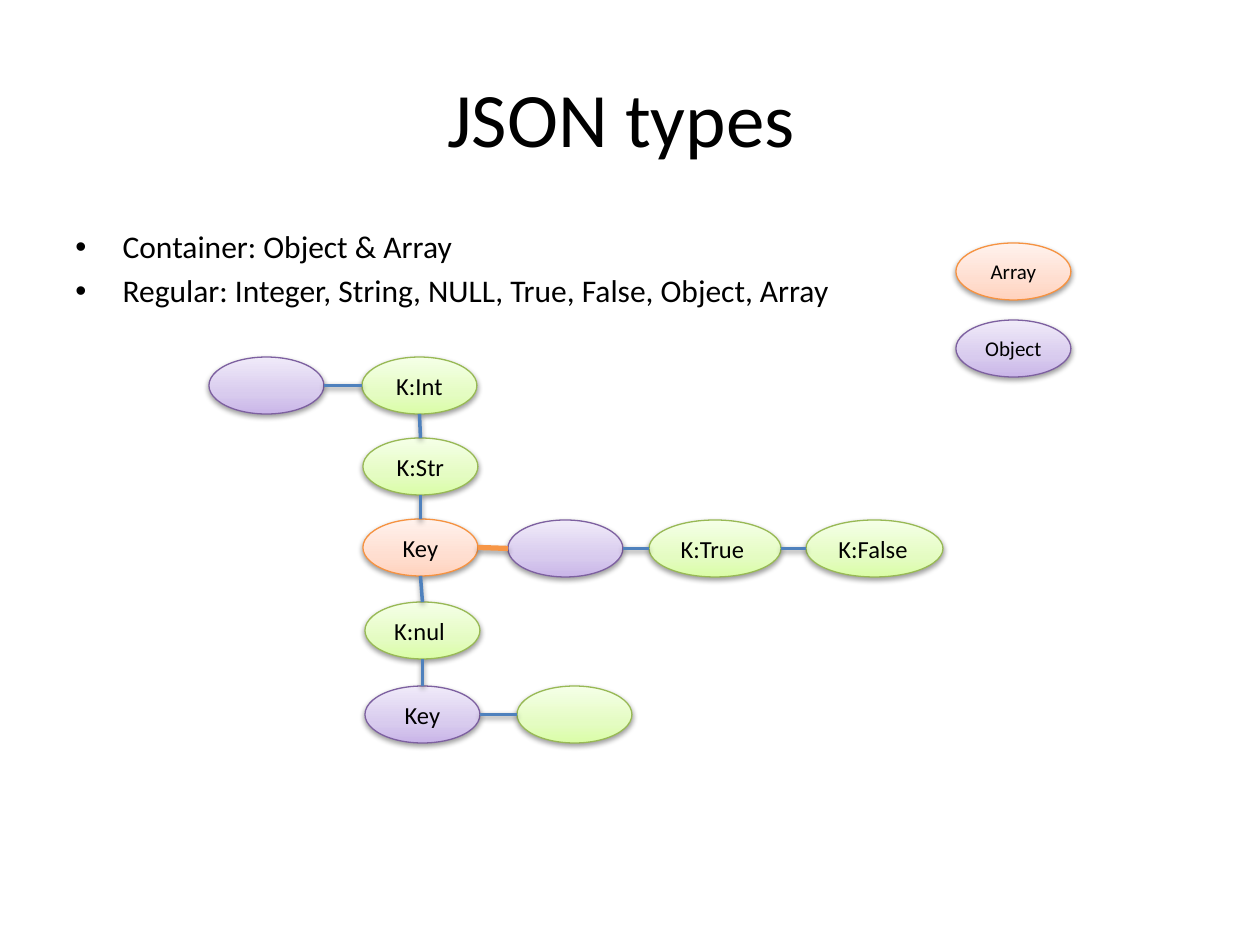
from copy import deepcopy

from pptx import Presentation
from pptx.dml.color import RGBColor
from pptx.enum.shapes import MSO_CONNECTOR, MSO_SHAPE
from pptx.enum.text import MSO_ANCHOR, PP_ALIGN
from pptx.oxml import parse_xml
from pptx.oxml.ns import nsdecls
from pptx.util import Emu, Pt

PX = 914400 // 126
FONT = "Calibri"
BLACK = RGBColor(0x00, 0x00, 0x00)
BLUE = RGBColor(0x4F, 0x81, 0xBD)
ORANGE = RGBColor(0xF7, 0x96, 0x46)

OBJECT = (RGBColor(0x7D, 0x60, 0xA0), RGBColor(0xC9, 0xB5, 0xE8),
          RGBColor(0xD8, 0xCB, 0xEE), RGBColor(0xF0, 0xEA, 0xF9))
REGULAR = (RGBColor(0x98, 0xB9, 0x55), RGBColor(0xDA, 0xFD, 0xA7),
           RGBColor(0xE4, 0xFC, 0xC2), RGBColor(0xF5, 0xFF, 0xE7))
ARRAY = (RGBColor(0xF6, 0x92, 0x40), RGBColor(0xFF, 0xD2, 0xBD),
         RGBColor(0xFF, 0xDE, 0xD0), RGBColor(0xFF, 0xF2, 0xED))
STOPS = (0, 0.35, 1)
NODE_WIDTH, NODE_HEIGHT = 115, 57

EFFECTS = (
    f'<a:effectLst {nsdecls("a")}>'
    '<a:outerShdw blurRad="40000" dist="20000" dir="5400000" rotWithShape="0">'
    '<a:srgbClr val="000000"><a:alpha val="38000"/></a:srgbClr>'
    '</a:outerShdw></a:effectLst>'
)


def px(*lengths):
    return [Emu(length * PX) for length in lengths]


def format_paragraph(paragraph, size, align):
    paragraph.alignment = align
    for run in paragraph.runs:
        run.font.name = FONT
        run.font.size = Pt(size)
        run.font.color.rgb = BLACK


def add_text(slide, box, lines, size, align, anchor):
    text_frame = slide.shapes.add_textbox(*px(*box)).text_frame
    text_frame.word_wrap = True
    text_frame.vertical_anchor = anchor
    text_frame.text = "\n".join(lines)
    for paragraph in text_frame.paragraphs:
        format_paragraph(paragraph, size, align)
    return text_frame


def add_title(slide, box):
    add_text(slide, box, ["JSON types "], 44, PP_ALIGN.CENTER, MSO_ANCHOR.MIDDLE)


def add_bullets(slide, box):
    lines = ["Container: Object & Array",
             "Regular: Integer, String, NULL, True, False, Object, Array"]
    text_frame = add_text(slide, box, lines, 18, PP_ALIGN.LEFT, MSO_ANCHOR.TOP)
    for paragraph in text_frame.paragraphs:
        paragraph.space_before = Pt(3.6)
        properties = paragraph._p.get_or_add_pPr()
        properties.set("marL", "342900")
        properties.set("indent", "-342900")
        properties.append(parse_xml(f'<a:buFont {nsdecls("a")} typeface="Arial"/>'))
        properties.append(parse_xml(f'<a:buChar {nsdecls("a")} char="•"/>'))


def add_node(slide, left, top, palette, label="", width=NODE_WIDTH,
             size=14, align=PP_ALIGN.CENTER):
    shape = slide.shapes.add_shape(
        MSO_SHAPE.OVAL, *px(left, top, width, NODE_HEIGHT))
    outline, *gradient = palette
    shape.fill.gradient()
    shape.fill.gradient_angle = 90
    first = shape.fill._fill._gradFill.gsLst[0]
    first.addnext(deepcopy(first))
    for stop, position, color in zip(shape.fill.gradient_stops, STOPS, gradient):
        stop.position = position
        stop.color.rgb = color
    shape.line.color.rgb = outline
    shape.line.width = Pt(0.75)
    shape._element.spPr.append(parse_xml(EFFECTS))
    if label:
        shape.text_frame.text = label
        format_paragraph(shape.text_frame.paragraphs[0], size, align)
    return shape


def add_link(slide, start, end, color=BLUE, width=2):
    connector = slide.shapes.add_connector(MSO_CONNECTOR.STRAIGHT, *start, *end)
    connector.line.color.rgb = color
    connector.line.width = Pt(width)
    connector._element.spPr.append(parse_xml(EFFECTS))


def link_across(slide, first, second, **style):
    add_link(slide,
             (first.left + first.width, first.top + first.height // 2),
             (second.left, second.top + second.height // 2), **style)


def link_down(slide, upper, lower):
    add_link(slide,
             (upper.left + upper.width // 2, upper.top + upper.height),
             (lower.left + lower.width // 2, lower.top))


def add_tree(slide, left, top):
    def node(x, y, *args, **options):
        return add_node(slide, left + x, top + y, *args, **options)

    root = node(0, 0, OBJECT)
    members = [
        node(153, 0, REGULAR, "K:Int"),
        node(154, 81, REGULAR, "K:Str"),
        node(154, 162, ARRAY, "Key"),
        node(156, 245, REGULAR, "K:nul", align=PP_ALIGN.LEFT),
        node(156, 329, OBJECT, "Key"),
    ]
    items = [
        node(299, 163, OBJECT),
        node(440, 163, REGULAR, "K:True", width=132, align=PP_ALIGN.LEFT),
        node(597, 163, REGULAR, "K:False", width=137, align=PP_ALIGN.LEFT),
    ]
    leaf = node(308, 329, REGULAR)

    for upper, lower in zip(members, members[1:]):
        link_down(slide, upper, lower)
    for first, second in [(root, members[0]), *zip(items, items[1:]),
                          (members[-1], leaf)]:
        link_across(slide, first, second)
    link_across(slide, members[2], items[0], color=ORANGE, width=3)


def add_legend(slide, left, top):
    add_node(slide, left, top, ARRAY, "Array", size=12)
    add_node(slide, left, top + 77, OBJECT, "Object", size=12, align=PP_ALIGN.LEFT)


def main():
    presentation = Presentation()
    presentation.slide_width, presentation.slide_height = px(1260, 945)
    slide = presentation.slides.add_slide(presentation.slide_layouts[6])
    add_title(slide, (63, 38, 1134, 158))
    add_bullets(slide, (63, 221, 1134, 624))
    add_tree(slide, 209, 357)
    add_legend(slide, 956, 243)
    presentation.save("out.pptx")


if __name__ == "__main__":
    main()
